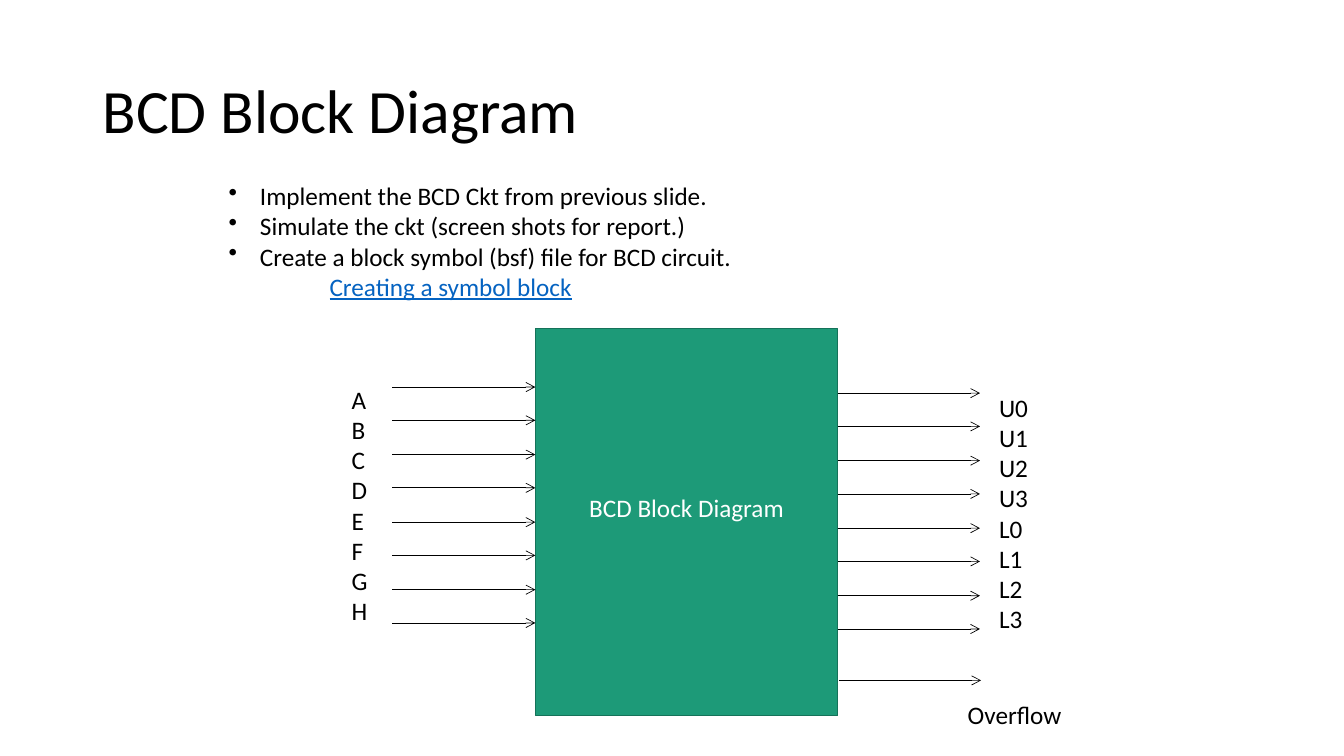
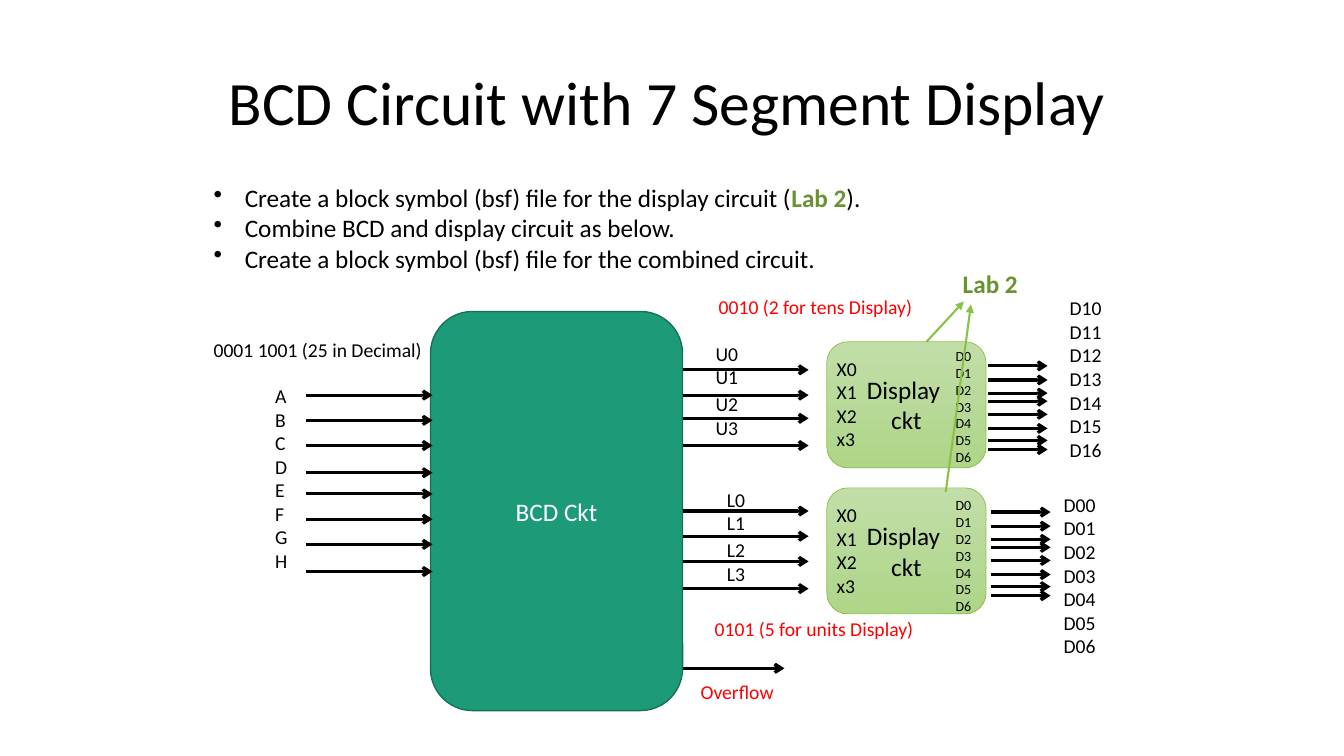
import pptx
import pptx.util
import pptx.dml.color
import pptx.enum.shapes
import pptx.enum.text
import pptx.oxml
import pptx.oxml.ns

PX = 9144
FONT = "Calibri"
COLORS = {
    "ink": "000000", "paper": "FFFFFF", "block": "1D9A78", "block_edge": "157259",
    "display_top": "C2DEA8", "display_bottom": "AED588", "display_edge": "8BC145",
    "lab": "699331", "value": "FF0000", "reference": "0563C1",
}
RGB = {name: pptx.dml.color.RGBColor.from_string(code) for name, code in COLORS.items()}
SHAPES = pptx.enum.shapes.MSO_SHAPE
MIDDLE = pptx.enum.text.MSO_ANCHOR.MIDDLE


def add_box(page, frame, lines, size, color="ink", shape=None, wrap=True, bullets=False):
    frame = [value * PX for value in frame]
    if shape is None:
        box = page.shapes.add_textbox(*frame)
    else:
        box = page.shapes.add_shape(shape, *frame)
        box.shadow.inherit = False
        box.text_frame.vertical_anchor = MIDDLE
    box.text_frame.word_wrap = wrap
    box.text_frame.text = "\n".join(lines)
    for para in box.text_frame.paragraphs:
        if shape is not None:
            para.alignment = pptx.enum.text.PP_ALIGN.CENTER
        if bullets:
            properties = para._p.get_or_add_pPr()
            properties.set("marL", str(31 * PX))
            properties.set("indent", str(-31 * PX))
            bullet = pptx.oxml.parse_xml(
                '<a:buChar %s char="•"/>' % pptx.oxml.ns.nsdecls("a"))
            properties.append(bullet)
        for span in para.runs:
            span.font.name = FONT
            span.font.size = pptx.util.Pt(size)
            span.font.color.rgb = RGB[color]
    return box


def add_arrow(page, start, end, width, color="ink", head="arrow"):
    line = page.shapes.add_connector(
        pptx.enum.shapes.MSO_CONNECTOR.STRAIGHT, *[value * PX for value in start + end])
    line.line.color.rgb = RGB[color]
    line.line.width = pptx.util.Pt(width)
    namespace = pptx.oxml.ns.nsdecls("a")
    line.line._get_or_add_ln().append(
        pptx.oxml.parse_xml('<a:tailEnd %s type="%s"/>' % (namespace, head)))
    line._element.spPr.append(pptx.oxml.parse_xml("<a:effectLst %s/>" % namespace))
    return line


deck = pptx.Presentation()
deck.slide_width = 1333 * PX
deck.slide_height = 750 * PX

pages = []
for title, title_frame, name, block_frame, shape in (
    ("BCD Block Diagram", (92, 40, 1150, 145), "BCD Block Diagram",
     (531, 326, 300, 384), SHAPES.RECTANGLE),
    ("BCD Circuit with 7 Segment Display", (217, 42, 900, 125), "BCD Ckt",
     (427, 309, 250, 396), SHAPES.ROUNDED_RECTANGLE),
):
    page = deck.slides.add_slide(deck.slide_layouts[6])
    heading = add_box(page, title_frame, [title], 44)
    heading.text_frame.vertical_anchor = MIDDLE
    heading.text_frame.paragraphs[0].line_spacing = 0.9
    block = add_box(page, block_frame, [name], 18, "paper", shape)
    block.fill.solid()
    block.fill.fore_color.rgb = RGB["block"]
    block.line.color.rgb = RGB["block_edge"]
    block.line.width = pptx.util.Pt(1)
    pages.append((page, block))

page, block = pages[0]
block.text_frame.margin_bottom = 35 * PX
for index in range(8):
    y = round(384 + index * 234 / 7)
    input_arrow = add_arrow(page, (389, y), (531, y), 0.5)
    if index == 4:
        input_arrow.end_connect(block, 1)
    add_arrow(page, (831, y + 6), (972, y + 6), 0.5)
add_arrow(page, (832, 675), (973, 675), 0.5)
add_box(page, (339, 376, 36, 252), "ABCDEFGH", 18, wrap=False)
add_box(page, (981, 384, 51, 252),
        [f"{digit}{bit}" for digit in "UL" for bit in range(4)], 18, wrap=False)
add_box(page, (950, 689, 114, 40), ["Overflow"], 18, wrap=False)
tasks = add_box(page, (217, 174, 908, 101), [
    "Implement the BCD Ckt from previous slide.",
    "Simulate the ckt (screen shots for report.)",
    "Create a block symbol (bsf) file for BCD circuit.",
], 18, bullets=True)
reference = add_box(page, (317, 264, 808, 40), ["Creating a symbol block"], 18, "reference")
reference.text_frame.paragraphs[0].runs[0].font.underline = True

page, block = pages[1]
for left, right, top, steps in (
    (304, 429, 392, (0, 25, 50, 77)),
    (304, 429, 490, (0, 25, 50, 77)),
    (677, 802, 367, (0, 25, 48, 75)),
    (677, 802, 507, (0, 25, 50, 77)),
    (677, 778, 663, (0,)),
):
    for step in steps:
        bus_arrow = add_arrow(page, (left, top + step), (right, top + step), 2.25)
        if (left, top + step) == (677, 507):
            bus_arrow.begin_connect(block, 3)

for top, pin_top, arrow_left, arrow_top, label_left, label_top, prefix in (
    (339, 340, 980, 363, 1051, 289, "D1"),
    (484, 488, 983, 508, 1045, 484, "D0"),
):
    display = add_box(page, (820, top, 158, 125), ["Display ", "ckt"], 18,
                      shape=SHAPES.ROUNDED_RECTANGLE)
    display.fill.gradient()
    display.fill.gradient_angle = 270
    for stop, color in zip(display.fill.gradient_stops, ("display_top", "display_bottom")):
        stop.color.rgb = RGB[color]
    display.line.color.rgb = RGB["display_edge"]
    display.line.width = pptx.util.Pt(0.5)
    add_box(page, (820, top + 10, 40, 104), ["X0", "X1", "X2", "x3"], 14, wrap=False)
    add_box(page, (938, pin_top, 36, 151), [f"D{pin}" for pin in range(7)], 10, wrap=False)
    for step in (0, 14, 27, 35, 48, 62, 74, 83):
        y = arrow_top + step
        add_arrow(page, (arrow_left, y), (arrow_left + 59, y), 2.25)
    add_box(page, (label_left, label_top, 52, 199),
            [f"{prefix}{segment}" for segment in range(7)], 14, wrap=False)

for digit, left, top, width in (("U", 700, 334, 43), ("L", 711, 479, 38)):
    for bit in (0, 2):
        add_box(page, (left, top + bit * 25, width, 57),
                [f"{digit}{bit}", f"{digit}{bit + 1}"], 14, wrap=False)
add_box(page, (263, 376, 33, 199), "ABCDEFGH", 14, wrap=False)
for frame, text, color in (
    ((202, 330, 251, 34), "0001 1001 (25 in Decimal)", "ink"),
    ((703, 288, 297, 34), "0010 (2 for tens Display)", "value"),
    ((699, 607, 309, 34), "0101 (5 for units Display)", "value"),
    ((685, 670, 234, 34), "Overflow", "value"),
):
    add_box(page, frame, [text], 14, color)

tasks = add_box(page, (202, 176, 908, 101), [
    "Create a block symbol (bsf) file for the display circuit (",
    "Combine BCD and display circuit as below.",
    "Create a block symbol (bsf) file for the combined circuit.",
], 18, bullets=True)
for text, color in (("Lab 2", "lab"), (").", "ink")):
    span = tasks.text_frame.paragraphs[0].add_run()
    span.text = text
    span.font.name = FONT
    span.font.size = pptx.util.Pt(18)
    span.font.bold = color == "lab"
    span.font.color.rgb = RGB[color]
lab = add_box(page, (945, 261, 95, 40), ["Lab 2"], 18, "lab")
lab.text_frame.paragraphs[0].runs[0].font.bold = True
for start, end in (((919, 339), (956, 299)), ((938, 488), (963, 302))):
    add_arrow(page, start, end, 1.5, "display_edge", "triangle")

deck.save("out.pptx")
